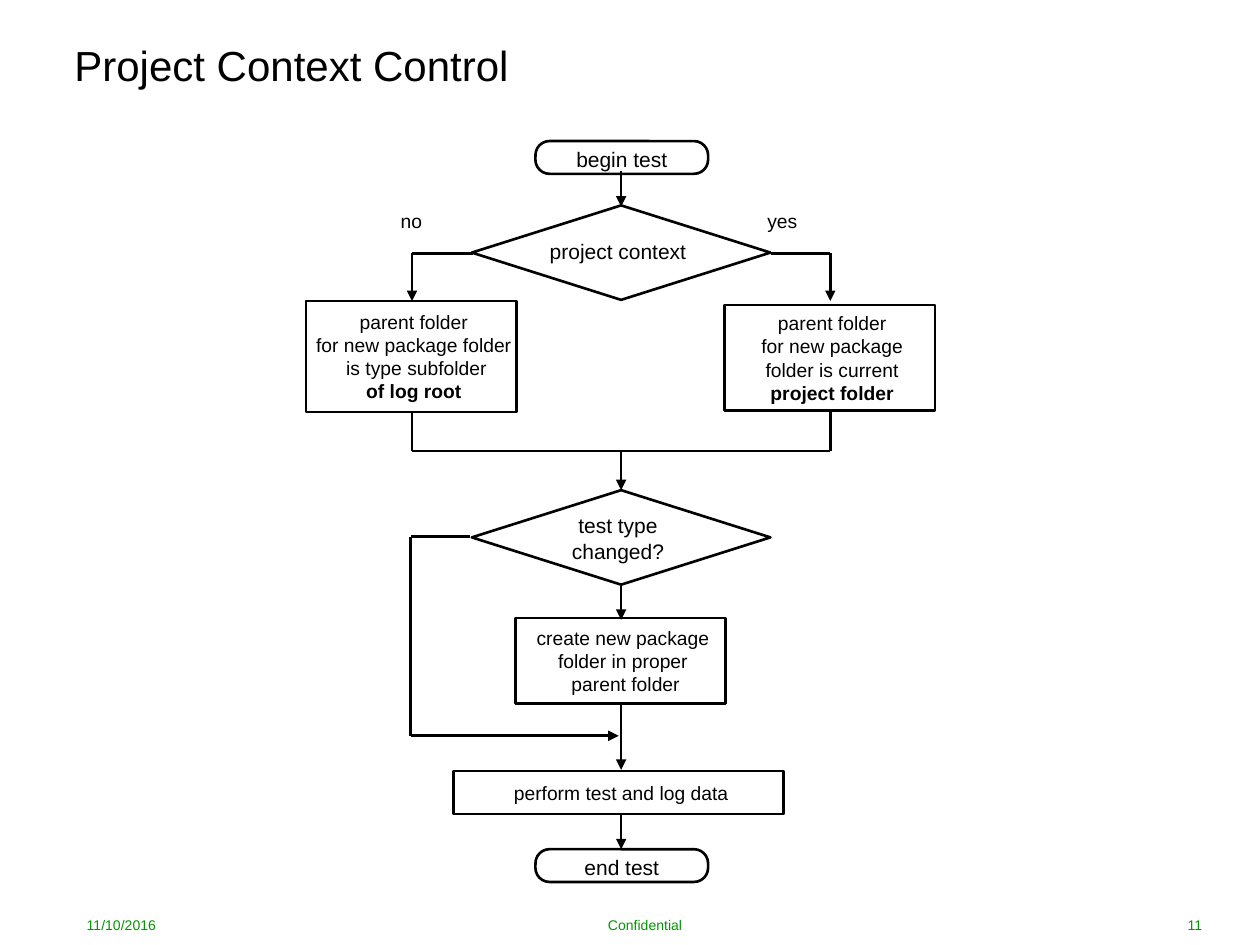
from lxml import etree
from pptx import Presentation
from pptx.dml.color import RGBColor as Rgb
from pptx.enum.shapes import MSO_CONNECTOR as Link, MSO_SHAPE as Kind
from pptx.enum.text import MSO_ANCHOR as Anchor, MSO_AUTO_SIZE as Auto, PP_ALIGN as Align
from pptx.oxml.ns import qn
from pptx.util import Inches, Pt

COLS, ROWS = 100, 75
WIDE, HIGH = Inches(10), Inches(7.5)
FONT = "Arial"
HUES = {"ink": "000000", "paper": "FFFFFF", "foot": "009800"}
MID = 49.3
LEFT, RIGHT = 32.7, 65.9


def cell(col, row):
    """Turn a grid place into slide lengths."""
    return int(WIDE * col / COLS), int(HIGH * row / ROWS)


def area(box):
    """Turn left, top, width and height in cells into lengths."""
    return *cell(*box[:2]), *cell(*box[2:])


def hue(name):
    """Look up a colour."""
    return Rgb.from_string(HUES[name])


def write(frame, lines, size, align=Align.CENTER, anchor=Anchor.MIDDLE,
          ink="ink", inset=True, bold=None):
    """Fill a text frame, one paragraph for each line."""
    frame.word_wrap = True
    frame.auto_size = Auto.NONE
    frame.vertical_anchor = anchor
    if not inset:
        frame.margin_left = frame.margin_right = 0
        frame.margin_top = frame.margin_bottom = 0
    for i, line in enumerate(lines):
        para = frame.add_paragraph() if i else frame.paragraphs[0]
        para.text = line
        para.alignment = align
        font = para.font
        font.name, font.size = FONT, Pt(size)
        font.bold = i == bold
        font.color.rgb = hue(ink)


def label(slide, box, lines, size, **style):
    """Add a text box."""
    text = slide.shapes.add_textbox(*area(box))
    write(text.text_frame, lines, size, **style)


def shape(slide, kind, box, fill=None):
    """Add an outlined shape."""
    node = slide.shapes.add_shape(kind, *area(box))
    node.shadow.inherit = False
    if fill:
        node.fill.solid()
        node.fill.fore_color.rgb = hue(fill)
    else:
        node.fill.background()
    node.line.color.rgb = hue("ink")
    node.line.width = Pt(1.5)
    return node


def pill(slide, top, text):
    """Add a start or end node."""
    node = shape(slide, Kind.ROUNDED_RECTANGLE, (42.5, top, 13.7, 2.6))
    node.adjustments[0] = 0.43
    label(slide, (42.6, top + 0.4, 13.5, 2.8), [text], 12,
          anchor=Anchor.TOP, inset=False)


def choice(slide, top, drop, lines):
    """Add a decision whose text starts below its top."""
    shape(slide, Kind.FLOWCHART_DECISION, (37.45, top, 23.7, 7.5))
    label(slide, (42.3, top + drop, 13.5, 2.8), lines, 12,
          anchor=Anchor.TOP, inset=False)


def step(slide, box, lines, bold=None):
    """Add a process box with its text slightly to the right."""
    shape(slide, Kind.RECTANGLE, box, "paper")
    left, *rest = box
    label(slide, (left + 0.2, *rest), lines, 11, inset=False, bold=bold)


def line(slide, start, end, arrow=False):
    """Join two grid places, with an arrowhead if asked."""
    link = slide.shapes.add_connector(Link.STRAIGHT, *cell(*start), *cell(*end))
    link.line.color.rgb = hue("ink")
    link.line.width = Pt(1.5)
    if arrow:
        tail = etree.SubElement(link.line._get_or_add_ln(), qn("a:tailEnd"))
        tail.set("type", "triangle")
    etree.SubElement(link._element.spPr, qn("a:effectLst"))


def head(slide, text):
    """Place and format the title."""
    title = slide.shapes.title
    title.left, title.top, title.width, title.height = area((5.9, 2, 70.9, 6.3))
    write(title.text_frame, [text], 24, align=Align.LEFT, inset=False)


def foot(slide):
    """Add date, notice and page number."""
    for left, width, text, align in (
            (5.9, 15.7, "11/10/2016", Align.LEFT),
            (25.6, 51.2, "Confidential", Align.CENTER),
            (80.7, 15.7, "11", Align.RIGHT)):
        label(slide, (left, 72.4, width, 2), [text], 8, align=align, ink="foot")


def nodes(slide):
    """Add every node of the flow."""
    pill(slide, 11.2, "begin test")
    choice(slide, 16.3, 2.6, ["project context"])
    step(slide, (24.3, 23.9, 16.7, 8.8),
         ["parent folder", "for new package folder", " is type subfolder",
          "of log root"], bold=3)
    step(slide, (57.5, 24.2, 16.7, 8.4),
         ["parent folder", "for new package", "folder is current",
          "project folder"], bold=3)
    choice(slide, 38.9, 1.8, ["test type", "changed?"])
    step(slide, (40.9, 49.05, 16.7, 6.8),
         ["create new package", "folder in proper", " parent folder"])
    step(slide, (36, 61.2, 26.2, 3.4), ["perform test and log data"])
    pill(slide, 67.4, "end test")
    for left, text in ((31.8, "no"), (60.9, "yes")):
        label(slide, (left, 16.6, 10, 1.4), [text], 11, align=Align.LEFT,
              anchor=Anchor.TOP, inset=False)


def links(slide):
    """Add every line and arrow of the flow."""
    for top, end in ((13.6, 16.4), (35.8, 38.9), (46.5, 49.2),
                     (55.9, 61.1), (64.7, 67.4)):
        line(slide, (MID, top), (MID, end), arrow=True)
    for col, side in ((LEFT, 37.5), (RIGHT, 61.2)):
        line(slide, (side, 20.1), (col, 20.1))
        line(slide, (col, 20.1), (col, 23.9), arrow=True)
        line(slide, (col, 32.6), (col, 35.8))
    line(slide, (RIGHT, 35.8), (LEFT, 35.8))
    line(slide, (37.3, 42.6), (32.6, 42.6))
    line(slide, (32.6, 42.6), (32.6, 58.4))
    line(slide, (32.6, 58.4), (49.1, 58.4), arrow=True)


def main():
    """Build and save the slide."""
    deck = Presentation()
    deck.slide_width, deck.slide_height = WIDE, HIGH
    slide = deck.slides.add_slide(deck.slide_layouts[5])
    head(slide, "Project Context Control")
    nodes(slide)
    links(slide)
    foot(slide)
    deck.save("out.pptx")


main()
